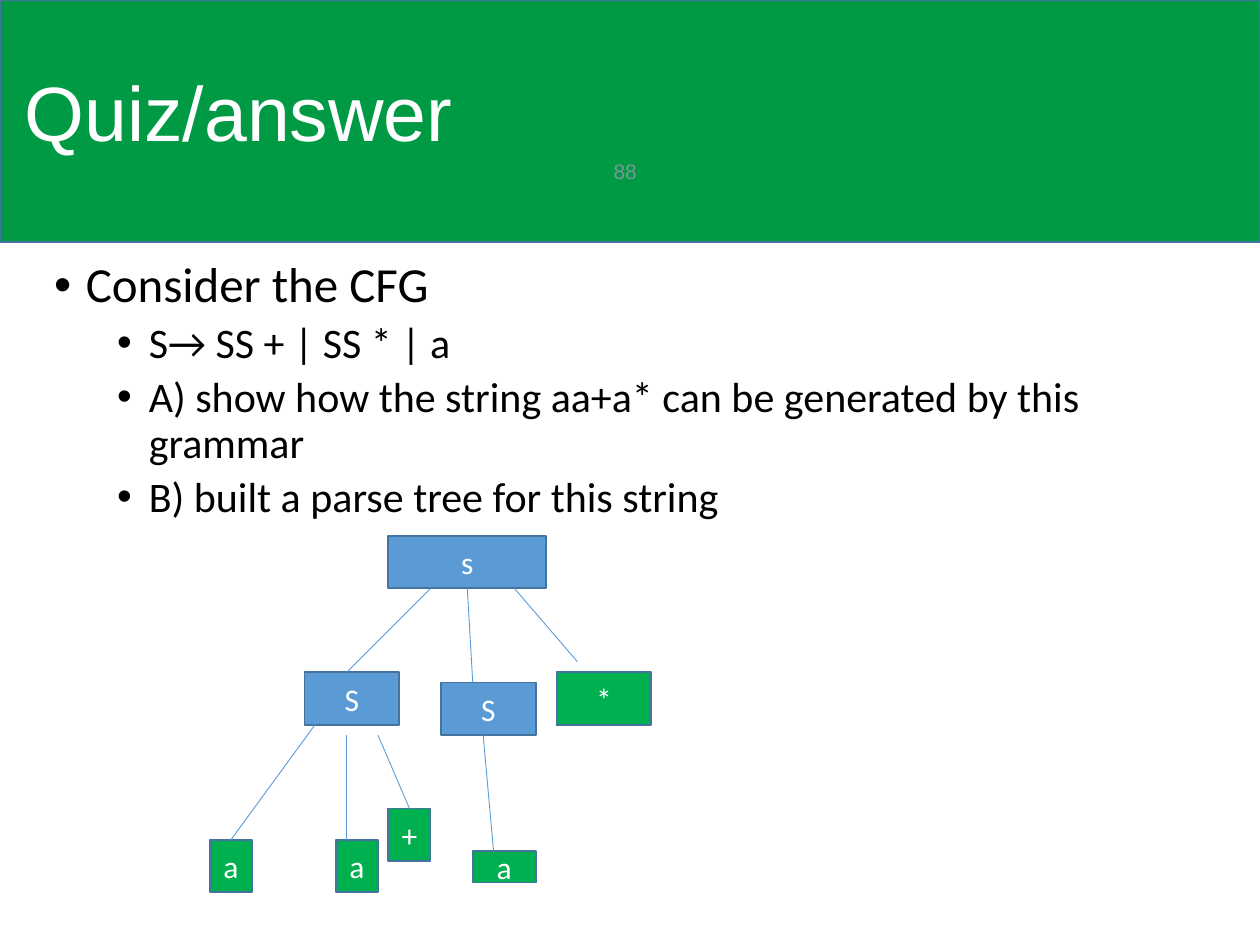
from lxml import etree
from pptx import Presentation
from pptx.dml.color import RGBColor
from pptx.enum.shapes import MSO_CONNECTOR, MSO_SHAPE
from pptx.enum.text import MSO_ANCHOR, PP_ALIGN
from pptx.oxml.ns import qn
from pptx.util import Cm, Pt

RECT = MSO_SHAPE.RECTANGLE
STRAIGHT = MSO_CONNECTOR.STRAIGHT
MIDDLE = MSO_ANCHOR.MIDDLE
CENTER = PP_ALIGN.CENTER
TOP, BOTTOM = 0, 2
BLUE, GREEN, OUTLINE = "5B9BD5", "00B050", "43739E"


def style(font, name, size, color):
    font.name = name
    font.size = Pt(size)
    font.color.rgb = RGBColor.from_string(color)


def add_box(left, top, width, height, fill):
    sp = s.shapes.add_shape(RECT, Cm(left), Cm(top), Cm(width), Cm(height))
    sp.shadow.inherit = False
    sp.fill.solid()
    sp.fill.fore_color.rgb = RGBColor.from_string(fill)
    sp.line.color.rgb = RGBColor.from_string(OUTLINE)
    sp.line.width = Pt(1)
    return sp


prs = Presentation()
prs.slide_width, prs.slide_height = Cm(25.4), Cm(19.05)
s = prs.slides.add_slide(prs.slide_layouts[6])

add_box(0, 0, 25.4, 4.88, "009A44")

labels = [
    ("Quiz/answer", 0.25, 0.51, 21.89, 3.68, 44, "FFFFFF", 0.9),
    ("88", 12.12, 2.84, 1.27, 1.22, 12, "7B9899", 1.0),
]
for text, left, top, width, height, size, color, spacing in labels:
    tf = s.shapes.add_textbox(Cm(left), Cm(top), Cm(width), Cm(height)).text_frame
    tf.word_wrap = True
    tf.vertical_anchor = MIDDLE
    p = tf.paragraphs[0]
    p.text = text
    p.line_spacing = spacing
    style(p.runs[0].font, "Arial", size, color)

bullets = [
    ("Consider the CFG", 0),
    ("S→ SS + | SS * | a", 1),
    ("A) show how the string aa+a* can be generated by this grammar", 1),
    ("B) built a parse tree for this string", 1),
]
tf = s.shapes.add_textbox(Cm(0.84), Cm(5.13), Cm(23.62), Cm(11.81)).text_frame
tf.word_wrap = True
for i, (text, level) in enumerate(bullets):
    p = tf.paragraphs[0] if i == 0 else tf.add_paragraph()
    p.text = text
    p.level = level
    p.line_spacing = 0.9
    p.space_before = Pt(5 if level else 0)
    pPr = p._p.get_or_add_pPr()
    pPr.set("marL", str(Cm(0.64 + 1.27 * level)))
    pPr.set("indent", str(-Cm(0.64)))
    etree.SubElement(pPr, qn("a:buFont"), typeface="Arial")
    etree.SubElement(pPr, qn("a:buChar"), char="•")
    style(p.runs[0].font, "Calibri", 24 if level else 28, "000000")

nodes = {
    "root": ("s", 7.83, 10.8, 3.18, 1.06, BLUE),
    "left": ("S", 6.14, 13.55, 1.91, 1.06, BLUE),
    "middle": ("S", 8.89, 13.76, 1.91, 1.06, BLUE),
    "star": ("*", 11.22, 13.55, 1.91, 1.06, GREEN),
    "middle a": ("a", 9.53, 17.15, 1.27, 0.64, GREEN),
    "plus": ("+", 7.83, 16.3, 0.85, 1.06, GREEN),
    "second a": ("a", 6.77, 16.93, 0.85, 1.06, GREEN),
    "first a": ("a", 4.23, 16.93, 0.85, 1.06, GREEN),
}
boxes = {}
for key, (text, left, top, width, height, fill) in nodes.items():
    sp = add_box(left, top, width, height, fill)
    tf = sp.text_frame
    tf.text = text
    tf.vertical_anchor = MIDDLE
    p = tf.paragraphs[0]
    p.alignment = CENTER
    style(p.runs[0].font, "Calibri", 18, "FFFFFF")
    boxes[key] = sp

branches = [
    (8.68, 11.86, 6.99, 13.55, None, None),
    (9.42, 11.86, 9.53, 13.76, "root", None),
    (10.37, 11.86, 11.64, 13.34, None, None),
    (6.35, 14.61, 4.66, 16.93, None, "first a"),
    (6.99, 14.82, 6.99, 16.93, None, None),
    (9.74, 14.82, 9.95, 17.15, None, None),
    (7.62, 14.82, 8.26, 16.3, None, "plus"),
]
for x1, y1, x2, y2, parent, child in branches:
    line = s.shapes.add_connector(STRAIGHT, Cm(x1), Cm(y1), Cm(x2), Cm(y2))
    if parent:
        line.begin_connect(boxes[parent], BOTTOM)
    if child:
        line.end_connect(boxes[child], TOP)
    line.line.color.rgb = RGBColor.from_string(BLUE)
    line.line.width = Pt(0.5)
    etree.SubElement(line._element.spPr, qn("a:effectLst"))

prs.save("out.pptx")
